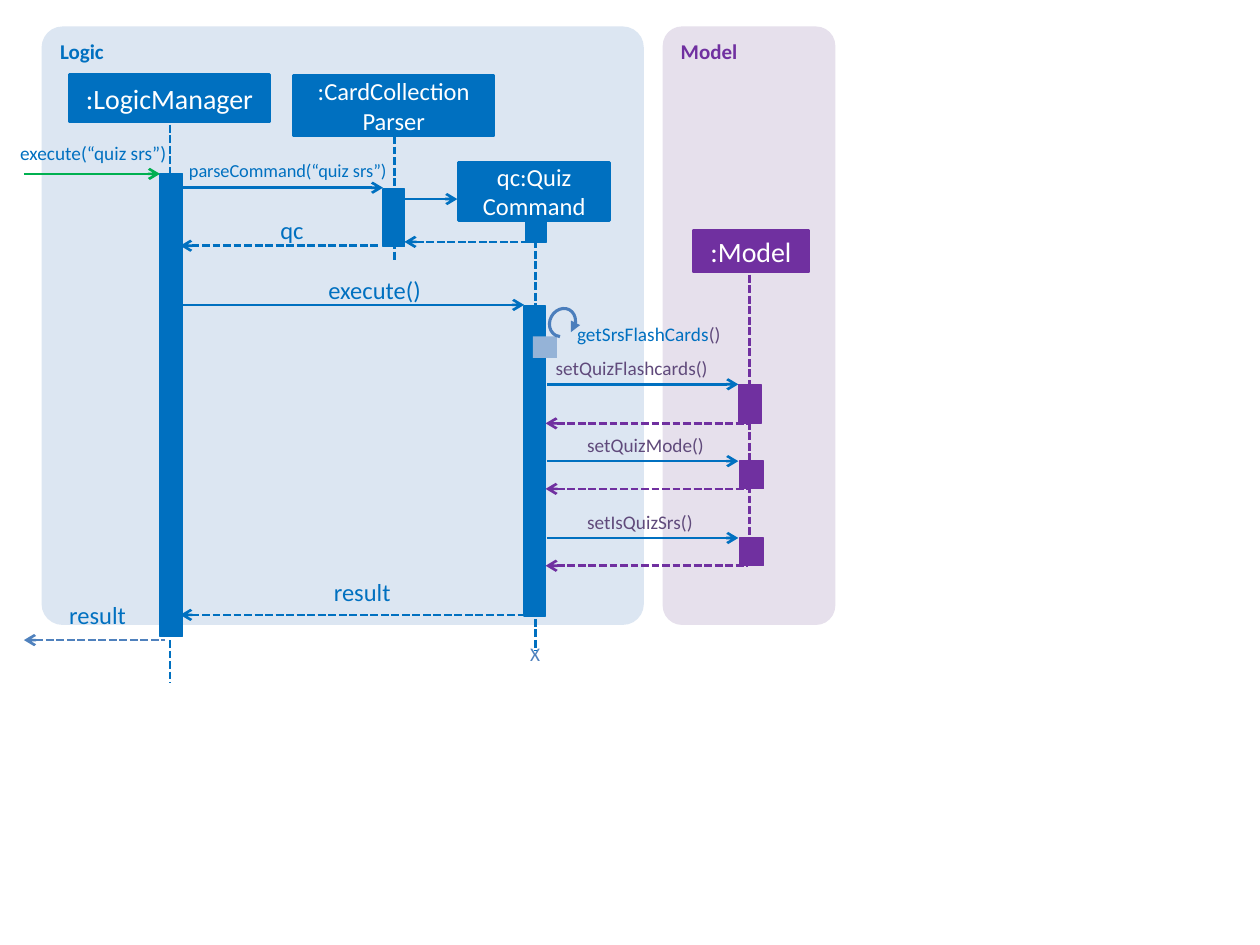
from lxml import etree
from pptx import Presentation
from pptx.dml.color import RGBColor
from pptx.enum import dml, shapes, text as t
from pptx.oxml.ns import qn
from pptx.util import Inches, Pt

BLUE = RGBColor(0x00, 0x70, 0xC0)
PURPLE = RGBColor(0x70, 0x30, 0xA0)
GREEN = RGBColor(0x00, 0xB0, 0x50)
STEEL = RGBColor(0x4F, 0x81, 0xBD)
ARC_BLUE = RGBColor(0x4B, 0x7E, 0xBC)
SOFT_BLUE = RGBColor(0x95, 0xB3, 0xD7)
PLUM = RGBColor(0x60, 0x4A, 0x7B)
LOGIC_BG = RGBColor(0xDC, 0xE6, 0xF2)
MODEL_BG = RGBColor(0xE6, 0xE0, 0xEC)
WHITE = RGBColor(0xFF, 0xFF, 0xFF)

RECT = shapes.MSO_SHAPE.RECTANGLE
LEFT, CENTER, RIGHT = t.PP_ALIGN.LEFT, t.PP_ALIGN.CENTER, t.PP_ALIGN.RIGHT

# Content: boxes are (left, top, width, height)
PANELS = [
    ("Model", (5.26, 0.21, 1.37, 4.75), 0.112, MODEL_BG, PURPLE),
    ("Logic", (0.33, 0.21, 4.78, 4.75), 0.035, LOGIC_BG, BLUE),
]
PARTICIPANTS = [
    (":LogicManager", (0.55, 0.59, 1.59, 0.38), 16, BLUE),
    (":CardCollection\nParser", (2.33, 0.6, 1.59, 0.48), 14, BLUE),
    ("qc:Quiz\vCommand", (3.64, 1.29, 1.2, 0.46), 14, BLUE),
    (":Model", (5.5, 1.83, 0.92, 0.33), 16, PURPLE),
]
LIFELINES = [  # x, top, bottom, colour
    (1.35, 0.99, 5.42, BLUE),
    (3.13, 1.08, 2.08, BLUE),
    (4.25, 1.74, 5.17, BLUE),
    (5.95, 2.18, 4.25, PURPLE),
]
ACTIVATIONS = [
    (1.27, 1.38, 0.18, 3.67),
    (3.04, 1.5, 0.17, 0.46),
    (4.17, 1.74, 0.17, 0.18),
    (4.16, 2.43, 0.17, 2.46),
]
CALLS = [  # from x, to x, y, colour
    (0.19, 1.27, 1.38, GREEN),
    (1.45, 3.04, 1.49, BLUE),
    (3.21, 3.63, 1.58, BLUE),
    (1.43, 4.16, 2.42, BLUE),
]
RETURNS = [  # receiver x, sender x, y, colour
    (3.21, 4.21, 1.92, BLUE),
    (1.43, 3.0, 1.95, BLUE),
    (1.43, 4.25, 4.88, BLUE),
    (0.19, 1.31, 5.08, STEEL),
]
LABELS = [
    ("execute(“quiz srs”)", (-0.83, 1.12, 2.15, 0.19), 11, RIGHT),
    ("parseCommand(“quiz srs”)", (1.5, 1.26, 2.03, 0.18), 10.5, LEFT),
    ("qc", (2.17, 1.71, 0.24, 0.24), 14, RIGHT),
    ("execute()", (2.4, 2.18, 0.94, 0.24), 14, RIGHT),
    ("result", (2.42, 4.58, 0.68, 0.24), 14, RIGHT),
    ("result", (0.17, 4.76, 0.83, 0.24), 14, RIGHT),
]
MODEL_CALLS = [  # text, label left and width, activation box
    ("setQuizFlashcards()", 4.41, 1.55, (5.86, 3.05, 0.18, 0.31)),
    ("setQuizMode()", 4.66, 1.42, (5.87, 3.66, 0.19, 0.22)),
    ("setIsQuizSrs()", 4.66, 1.42, (5.87, 4.27, 0.19, 0.22)),
]

prs = Presentation()
prs.slide_width, prs.slide_height = Inches(10), Inches(7.5)
s = prs.slides.add_slide(prs.slide_layouts[6])


def add_run(p, text, size, color, bold=False):
    p.text += text
    for r in p.runs:
        r.font.name, r.font.size, r.font.bold = "Calibri", Pt(size), bold
        r.font.color.rgb = color


def write(tf, text, size=11, color=BLUE, bold=False, align=LEFT, suffix=None):
    for i, line in enumerate(text.split("\n")):
        p = tf.add_paragraph() if i else tf.paragraphs[0]
        p.alignment = align
        add_run(p, line, size, color, bold)
    if suffix:
        r = p.add_run()
        r.text = suffix
        r.font.name, r.font.size, r.font.color.rgb = "Calibri", Pt(size), PLUM


def add_box(box, fill=None, line=None, width=0.75, kind=RECT):
    sp = s.shapes.add_shape(kind, *map(Inches, box))
    sp.shadow.inherit = False
    if fill is None:
        sp.fill.background()
    else:
        sp.fill.solid()
        sp.fill.fore_color.rgb = fill
    if line is None:
        sp.line.fill.background()
    else:
        sp.line.color.rgb = line
        sp.line.width = Pt(width)
    return sp


def add_label(text, box, inset=0, wrap=True, **fmt):
    tf = s.shapes.add_textbox(*map(Inches, box)).text_frame
    if inset == 0:
        tf.margin_left = tf.margin_right = tf.margin_top = tf.margin_bottom = 0
    tf.word_wrap = wrap
    tf.auto_size = t.MSO_AUTO_SIZE.SHAPE_TO_FIT_TEXT
    write(tf, text, **fmt)


def add_arrowhead(shape, end, kind="arrow"):
    ln = shape._element.spPr.find(qn("a:ln"))
    etree.SubElement(ln, qn("a:" + end), type=kind)


def add_line(x1, y1, x2, y2, color, dashed=False, end=None):
    c = s.shapes.add_connector(shapes.MSO_CONNECTOR.STRAIGHT,
                               *map(Inches, (x1, y1, x2, y2)))
    c.line.color.rgb = color
    c.line.width = Pt(1.5)
    if dashed:
        c.line.dash_style = dml.MSO_LINE.SQUARE_DOT
    if end:
        add_arrowhead(c, end)
    etree.SubElement(c._element.spPr, qn("a:effectLst"))


def add_call(x1, x2, y, color):
    add_line(x1, y, x2, y, color, end="tailEnd")


def add_return(x1, x2, y, color):
    add_line(x1, y, x2, y, color, dashed=True, end="headEnd")


# Panels
for name, box, radius, fill, color in PANELS:
    sp = add_box(box, fill, kind=shapes.MSO_SHAPE.ROUNDED_RECTANGLE)
    sp.adjustments[0] = radius
    sp.text_frame.vertical_anchor = t.MSO_ANCHOR.TOP
    write(sp.text_frame, name, size=12, color=color, bold=True)

# Lifelines, activations and participants
for x, top, bottom, color in LIFELINES:
    add_line(x, top, x, bottom, color, dashed=True)
for box in ACTIVATIONS:
    add_box(box, BLUE, BLUE)
for name, box, size, color in PARTICIPANTS:
    sp = add_box(box, color, color, 1.5)
    sp.text_frame.vertical_anchor = t.MSO_ANCHOR.MIDDLE
    write(sp.text_frame, name, size=size, color=WHITE, align=CENTER)

# Messages inside the logic part
for call in CALLS:
    add_call(*call)
for reply in RETURNS:
    add_return(*reply)
for name, box, size, align in LABELS:
    add_label(name, box, size=size, align=align)
add_label("X", (4.11, 5.05, 0.28, 0.29), inset=None, wrap=False, color=STEEL)

# Messages to the model
for name, left, width, box in MODEL_CALLS:
    top, bottom = box[1], box[1] + box[3]
    add_box(box, PURPLE, PURPLE)
    add_call(4.34, 5.86, top, BLUE)
    add_return(4.33, 5.94, bottom, PURPLE)
    add_label(name, (left, top - 0.22, width, 0.19), color=PLUM)

# Self call
add_box((4.23, 2.67, 0.19, 0.17), SOFT_BLUE)
arc = add_box((4.35, 2.46, 0.23, 0.2), line=ARC_BLUE, width=1.75,
              kind=shapes.MSO_SHAPE.ARC)
arc.rotation = 298.1
for i, degrees in enumerate((162, 110.73)):
    arc.adjustments[i] = degrees * 0.6  # 60000 units per degree, scaled by 100000
add_arrowhead(arc, "tailEnd", "triangle")
add_label("getSrsFlashCards", (4.58, 2.56, 1.55, 0.19), suffix="()")

prs.save("out.pptx")
